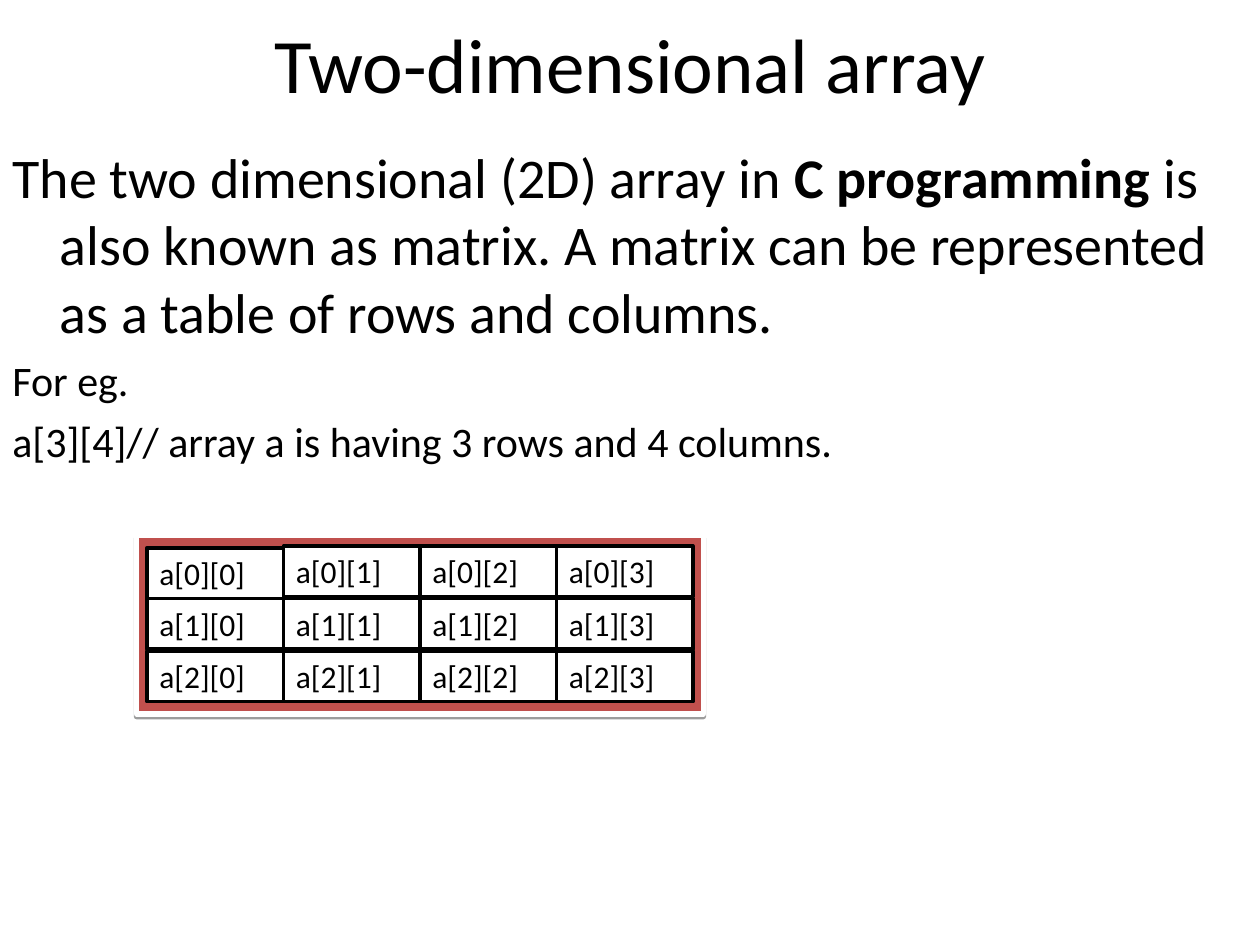
from lxml import etree
from pptx import Presentation
from pptx.dml.color import RGBColor
from pptx.enum import shapes, text
from pptx.oxml import ns
from pptx.util import Pt

BLACK = RGBColor(0, 0, 0)
WHITE = RGBColor(255, 255, 255)
RED = RGBColor(0xC0, 0x50, 0x4D)
FONT = "Calibri"
ROWS, COLS = 3, 4


def style(para, size):
    para.font.name = FONT
    para.font.size = Pt(size)
    para.font.color.rgb = BLACK


def add_rect(x, y, w, h, fill, line, width):
    rect = slide.shapes.add_shape(
        shapes.MSO_SHAPE.RECTANGLE, Pt(x), Pt(y), Pt(w), Pt(h))
    rect.fill.solid()
    rect.fill.fore_color.rgb = fill
    rect.line.color.rgb = line
    rect.line.width = Pt(width)
    rect.shadow.inherit = False
    return rect


prs = Presentation()
prs.slide_width, prs.slide_height = Pt(720), Pt(540)
slide = prs.slides.add_slide(prs.slide_layouts[5])

# Title
title = slide.shapes.title
title.left, title.top, title.width, title.height = Pt(36), Pt(0), Pt(648), Pt(72)
title.text_frame.text = "Two-dimensional array"
title.text_frame.vertical_anchor = text.MSO_ANCHOR.MIDDLE
head = title.text_frame.paragraphs[0]
head.alignment = text.PP_ALIGN.CENTER
style(head, 44)

# Explanation: each paragraph is a size, a space before and (words, bold) runs
body = [
    (32, 8, [("The two dimensional (2D) array in ", False),
             ("C programming", True),
             (" is also known as matrix. A matrix can be represented "
              "as a table of rows and columns.", False)]),
    (24, 6, [("For eg.", False)]),
    (24, 6, [("a[3][4]// array a is having 3 rows and 4 columns.", False)]),
]
box = slide.shapes.add_textbox(Pt(0), Pt(78), Pt(720), Pt(444))
frame = box.text_frame
frame.word_wrap = True
for i, (size, gap, runs) in enumerate(body):
    para = frame.add_paragraph() if i else frame.paragraphs[0]
    style(para, size)
    para.space_before = Pt(gap)
    props = para._p.get_or_add_pPr()
    props.set("marL", str(Pt(27)))
    props.set("indent", str(-Pt(27)))
    for words, bold in runs:
        run = para.add_run()
        run.text = words
        if bold:
            run.font.bold = True

# Red panel with a thin shadow below it
panel = add_rect(78, 306, 324, 102, RED, WHITE, 3)
effects = panel._element.spPr.find(ns.qn("a:effectLst"))
shadow = etree.SubElement(effects, ns.qn("a:outerShdw"), blurRad="0",
                          dist=str(Pt(1.6)), dir="5400000", rotWithShape="0")
color = etree.SubElement(shadow, ns.qn("a:srgbClr"), val="000000")
etree.SubElement(color, ns.qn("a:alpha"), val="38000")

# Matrix cells; the first one sits a point lower
for row in range(ROWS):
    for col in range(COLS):
        drop = 1 if row == col == 0 else 0
        cell = add_rect(84 + 78 * col, 312 + 30 * row + drop, 78, 29,
                        WHITE, BLACK, 2)
        frame = cell.text_frame
        frame.word_wrap = True
        frame.auto_size = text.MSO_AUTO_SIZE.SHAPE_TO_FIT_TEXT
        frame.vertical_anchor = text.MSO_ANCHOR.TOP
        frame.text = f"a[{row}][{col}]"
        para = frame.paragraphs[0]
        para.alignment = text.PP_ALIGN.LEFT
        style(para, 18)

prs.save("out.pptx")
